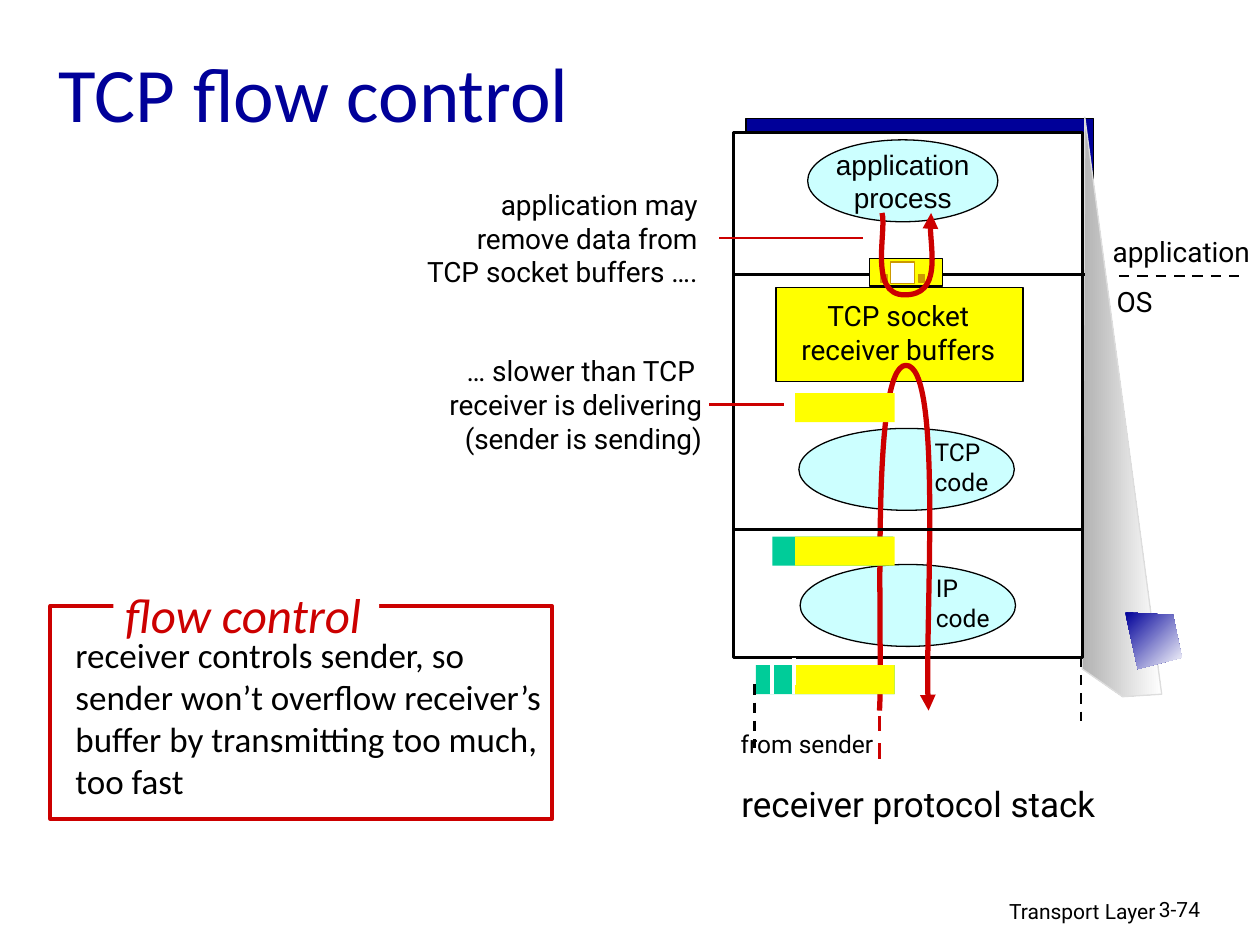
"""Build the TCP flow control slide with its receiver protocol stack."""
import pptx
import pptx.dml.color
import pptx.enum.dml
import pptx.enum.shapes
import pptx.enum.text
import pptx.oxml
import pptx.oxml.ns
import pptx.util

Inches, Pt = pptx.util.Inches, pptx.util.Pt
RGB = pptx.dml.color.RGBColor.from_string
qn = pptx.oxml.ns.qn
SHAPE = pptx.enum.shapes.MSO_SHAPE
ALIGN = pptx.enum.text.PP_ALIGN
ANCHOR = pptx.enum.text.MSO_ANCHOR
THEME = {
    "black": "000000", "white": "FFFFFF", "navy": "000099", "red": "CC0000",
    "yellow": "FFFF00", "cyan": "CCFFFF", "green": "00CC99", "gold": "CC9900",
    "gray": "B2B2B2", "pale": "DDDDDD",
    "title": 44, "heading": 28, "body": 20, "label": 16, "small": 14, "footer": 12,
    "sans": "Roboto", "display": "Calibri", "process": "Arial",
}

prs = pptx.Presentation()
prs.slide_width, prs.slide_height = Inches(10), Inches(7.5)
s = prs.slides.add_slide(prs.slide_layouts[6])


def add_box(x, y, w, h, fill, line=None, width=0.75, kind=SHAPE.RECTANGLE):
    sp = s.shapes.add_shape(kind, Inches(x), Inches(y), Inches(w), Inches(h))
    sp.shadow.inherit = False
    sp.fill.solid()
    sp.fill.fore_color.rgb = RGB(THEME[fill])
    if line:
        sp.line.color.rgb = RGB(THEME[line])
        sp.line.width = Pt(width)
    else:
        sp.line.fill.background()
    return sp


def add_line(x1, y1, x2, y2, color, width=1.5, dashed=False):
    cx = s.shapes.add_connector(pptx.enum.shapes.MSO_CONNECTOR.STRAIGHT,
                                Inches(x1), Inches(y1), Inches(x2), Inches(y2))
    cx.line.color.rgb = RGB(THEME[color])
    cx.line.width = Pt(width)
    if dashed:
        cx.line.dash_style = pptx.enum.dml.MSO_LINE.DASH
    cx._element.spPr.append(pptx.oxml.parse_xml(
        '<a:effectLst xmlns:a="http://schemas.openxmlformats.org/drawingml/2006/main"/>'))


add_box(5.92, 0.94, 2.76, 4.22, "navy", "black")

polygons = [
    ([(9.22, 5.51), (8.61, 0.93), (8.59, 5.31), (8.91, 5.53)], "gray", 0, "pale"),
    ([(8.93, 4.86), (9.31, 4.88), (9.38, 5.22), (9.03, 5.31)], "navy", 315, None),
]
for points, start, angle, outline in polygons:
    corners = [(Inches(x), Inches(y)) for x, y in points]
    builder = s.shapes.build_freeform(*corners[0])
    builder.add_line_segments(corners[1:], close=True)
    sp = builder.convert_to_shape()
    sp.shadow.inherit = False
    sp.fill.gradient()
    sp.fill.gradient_angle = angle
    for stop, color in zip(sp.fill.gradient_stops, (start, "white")):
        stop.color.rgb = RGB(THEME[color])
    if outline:
        sp.line.color.rgb = RGB(THEME[outline])
        sp.line.width = Pt(0.75)
    else:
        sp.line.fill.background()

add_box(5.82, 1.05, 2.77, 4.17, "white", "black", 1.5)
process = add_box(6.41, 1.11, 1.51, 0.65, "cyan", "black", kind=SHAPE.OVAL)
for x, y in [(6.34, 3.4), (6.35, 4.48)]:
    add_box(x, y, 1.71, 0.65, "cyan", "black", kind=SHAPE.OVAL)
add_box(6.16, 2.28, 1.96, 0.75, "yellow", "black")

add_line(5.83, 2.18, 8.61, 2.18, "black")
add_box(6.9, 2.05, 0.58, 0.22, "yellow", "black")
add_box(7.07, 2.08, 0.19, 0.17, "white", "gold")
for x in (6.99, 7.29):
    add_box(x, 2.18, 0.05, 0.06, "gold", "gold")

curves = [
    [(6.98, 5.64), (7.01, 5.18), (6.9, 2.9), (7.19, 2.9),
     (7.48, 2.9), (7.33, 5.07), (7.37, 5.64)],
    [(7, 1.69), (7.04, 1.83), (6.89, 2.34), (7.18, 2.34),
     (7.47, 2.34), (7.36, 1.8), (7.39, 1.69)],
]
for points in curves:
    controls = [(Inches(x), Inches(y)) for x, y in points]
    builder = s.shapes.build_freeform(*controls[0])
    builder.add_line_segments(controls[1:], close=False)
    sp = builder.convert_to_shape()
    sp.shadow.inherit = False
    sp.fill.background()
    sp.line.color.rgb = RGB(THEME["red"])
    sp.line.width = Pt(3)
    ln = sp.line._get_or_add_ln()
    ln.append(ln.makeelement(qn("a:tailEnd"), {"type": "triangle"}))
    segments = list(sp._element.iter(qn("a:lnTo")))
    for i in range(0, len(segments), 3):
        bezier = ln.makeelement(qn("a:cubicBezTo"), {})
        segments[i].addprevious(bezier)
        for segment in segments[i:i + 3]:
            bezier.append(segment[0])
            segment.getparent().remove(segment)

add_line(5.82, 4.2, 8.6, 4.2, "black")
add_box(6, 5.28, 1.1, 0.23, "green")
for x in (6.13, 6.3):
    add_line(x, 5.28, x, 5.51, "white", 2.25)
add_box(6.13, 4.26, 0.96, 0.23, "green")
for y in (3.12, 4.26, 5.28):
    add_box(6.31, y, 0.79, 0.23, "yellow")
add_line(6.3, 5.22, 6.3, 5.44, "white", 2.25)

add_line(5.71, 1.89, 6.85, 1.89, "red")
add_line(5.63, 3.21, 6.22, 3.21, "red")
add_line(6.98, 5.68, 6.98, 6.06, "red", 2.25, dashed=True)
add_line(8.88, 2.19, 9.83, 2.19, "black", dashed=True)
add_line(5.99, 5.43, 5.99, 5.94, "black", dashed=True)
add_line(8.58, 5.21, 8.58, 5.72, "black", dashed=True)

add_box(0.4, 4.81, 3.98, 1.69, "white", "red", 2.25)
add_box(0.9, 4.69, 2.11, 0.38, "white")

L, C, R = ALIGN.LEFT, ALIGN.CENTER, ALIGN.RIGHT
texts = [
    ((0.37, 0.19, 8.5, 1.07), "TCP flow control", "title", "display", "navy", L, True),
    ((6.21, 2.32, 1.84, 0.64), "TCP socket\nreceiver buffers", "label", "sans", "black", C, False),
    ((7.32, 3.42, 0.64, 0.57), "TCP\ncode", "small", "sans", "black", L, False),
    ((7.33, 4.5, 0.64, 0.57), "IP\ncode", "small", "sans", "black", L, False),
    ((8.7, 1.81, 1.35, 0.37), "application", "label", "sans", "black", C, False),
    ((8.76, 2.21, 0.49, 0.37), "OS", "label", "sans", "black", C, False),
    ((5.71, 6.16, 3.16, 0.44), "receiver protocol stack", "body", "sans", "black", C, False),
    ((5.74, 5.74, 1.33, 0.34), "from sender", "small", "sans", "black", C, False),
    ((2.2, 1.44, 3.49, 0.9), "application may \nremove data from \nTCP socket buffers …. ",
     "label", "sans", "black", R, True),
    ((3.39, 2.76, 2.28, 1.17), "… slower than TCP \nreceiver is delivering\n(sender is sending)",
     "label", "sans", "black", R, True),
    ((0.5, 4.98, 3.92, 1.77), "receiver controls sender, so sender won’t overflow receiver’s "
     "buffer by transmitting too much, too fast", "body", "display", "black", L, True),
    ((0.81, 4.59, 2.24, 0.57), "flow control", "heading", "display", "red", C, False),
    ((6.1, 7.08, 3.17, 0.31), "Transport Layer", "footer", "sans", "black", R, True),
    ((9.1, 7.07, 0.74, 0.3), "3-74", "footer", "sans", "black", L, True),
    (None, "application\nprocess", "label", "process", "black", C, False),
]
for place, text, size, font, color, align, wrap in texts:
    sp = s.shapes.add_textbox(*map(Inches, place)) if place else process
    tf = sp.text_frame
    tf.text = text
    tf.word_wrap = wrap
    tf.vertical_anchor = ANCHOR.MIDDLE if size == "title" or not place else ANCHOR.TOP
    for p in tf.paragraphs:
        p.alignment = align
        for r in p.runs:
            r.font.size = Pt(THEME[size])
            r.font.name = THEME[font]
            r.font.color.rgb = RGB(THEME[color])
            r.font.italic = size == "heading"

prs.save("out.pptx")
